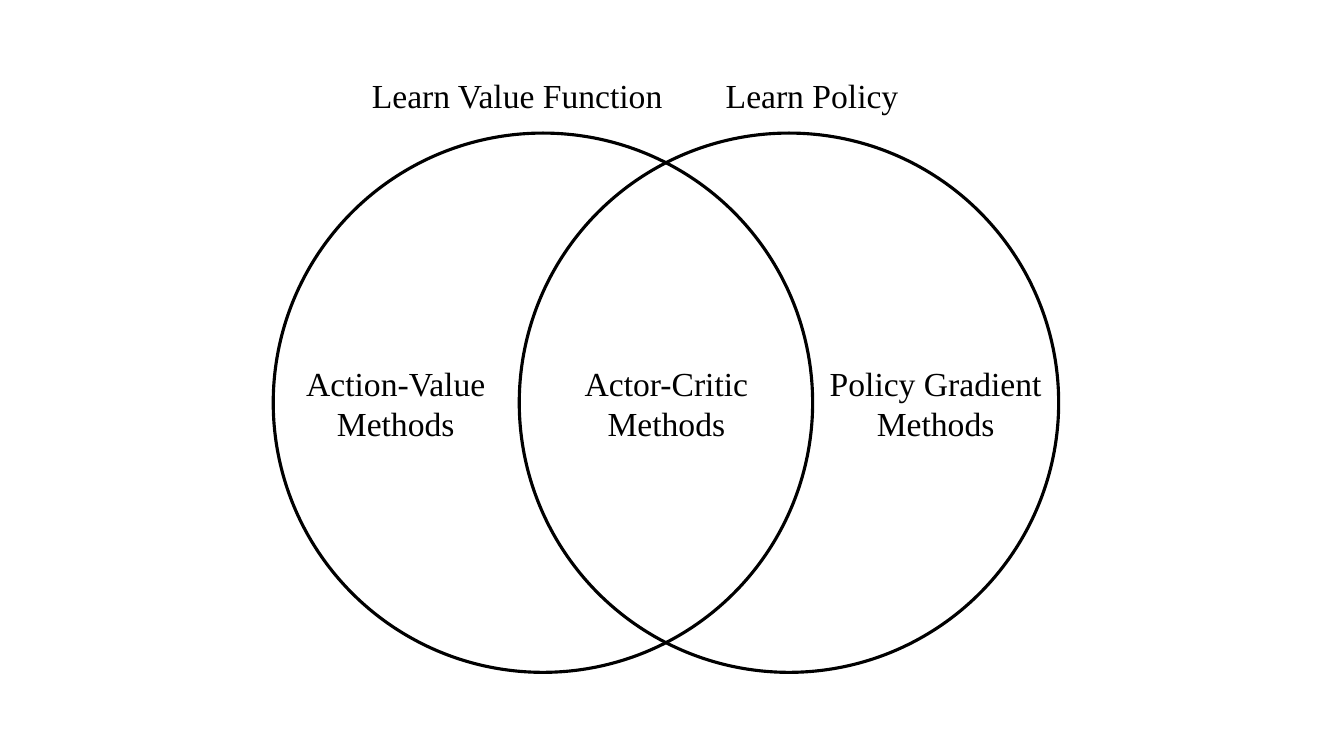
"""Build a Venn diagram slide of reinforcement learning method families."""
from dataclasses import dataclass

from pptx import Presentation
from pptx.dml.color import RGBColor
from pptx.enum.shapes import MSO_SHAPE
from pptx.enum.text import MSO_AUTO_SIZE, PP_ALIGN
from pptx.shapes.group import GroupShape
from pptx.util import Inches, Pt

BLACK = "000000"
FONT_NAME = "Times New Roman"
CIRCLE_TOP = 1.32
CIRCLE_SIZE = 5.35
HEADING_TOP, HEADING_HEIGHT = 0.69, 0.5
METHOD_TOP, METHOD_HEIGHT = 3.55, 0.91


@dataclass(frozen=True)
class Label:
    text: str
    left: float
    width: float


CIRCLE_LEFTS = (2.71, 5.15)
HEADINGS = (
    Label("Learn Value Function", 3.59, 3.11),
    Label("Learn Policy", 7.1, 1.93),
)
METHODS = (
    Label("Action-Value\nMethods", 2.93, 1.99),
    Label("Actor-Critic\nMethods", 5.66, 1.9),
    Label("Policy Gradient\nMethods", 8.12, 2.32),
)


def color(value: str) -> RGBColor:
    return RGBColor.from_string(value)


def add_circle(diagram: GroupShape, left: float) -> None:
    circle = diagram.shapes.add_shape(
        MSO_SHAPE.OVAL, Inches(left), Inches(CIRCLE_TOP),
        Inches(CIRCLE_SIZE), Inches(CIRCLE_SIZE),
    )
    circle.shadow.inherit = False
    circle.fill.background()
    circle.line.color.rgb = color(BLACK)
    circle.line.width = Pt(2.25)


def add_label(
    diagram: GroupShape, label: Label, *, top: float, height: float,
    alignment: PP_ALIGN, size: float = 24, font_color: str = BLACK,
) -> None:
    box = diagram.shapes.add_textbox(
        Inches(label.left), Inches(top), Inches(label.width), Inches(height)
    )
    frame = box.text_frame
    frame.word_wrap = False
    frame.auto_size = MSO_AUTO_SIZE.SHAPE_TO_FIT_TEXT
    frame.text = label.text
    for paragraph in frame.paragraphs:
        paragraph.alignment = alignment
        for run in paragraph.runs:
            run.font.name = FONT_NAME
            run.font.size = Pt(size)
            run.font.color.rgb = color(font_color)


def main() -> None:
    presentation = Presentation()
    presentation.slide_width = Inches(13.33)
    presentation.slide_height = Inches(7.5)
    slide = presentation.slides.add_slide(presentation.slide_layouts[6])
    diagram = slide.shapes.add_group_shape()
    for left in CIRCLE_LEFTS:
        add_circle(diagram, left)
    for heading in HEADINGS:
        add_label(diagram, heading, top=HEADING_TOP, height=HEADING_HEIGHT,
                  alignment=PP_ALIGN.LEFT)
    for method in METHODS:
        add_label(diagram, method, top=METHOD_TOP, height=METHOD_HEIGHT,
                  alignment=PP_ALIGN.CENTER)
    presentation.save("out.pptx")


if __name__ == "__main__":
    main()
